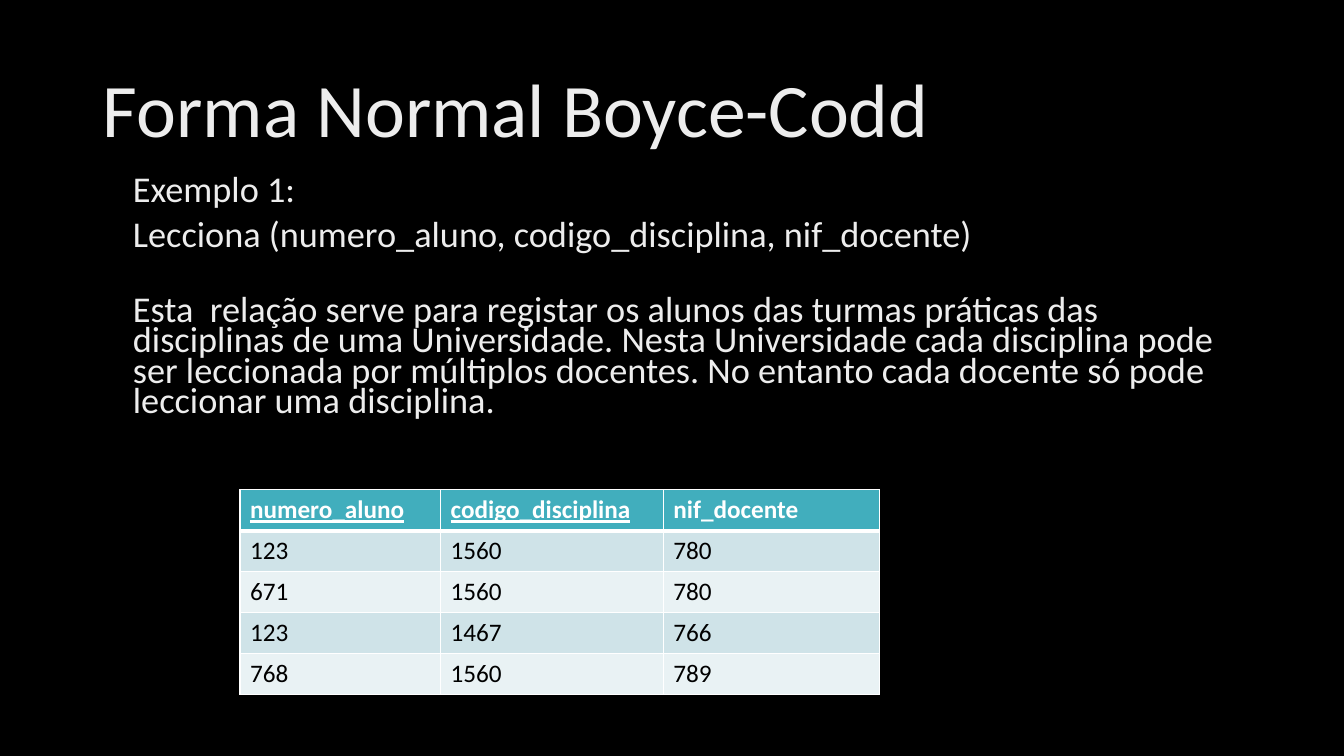
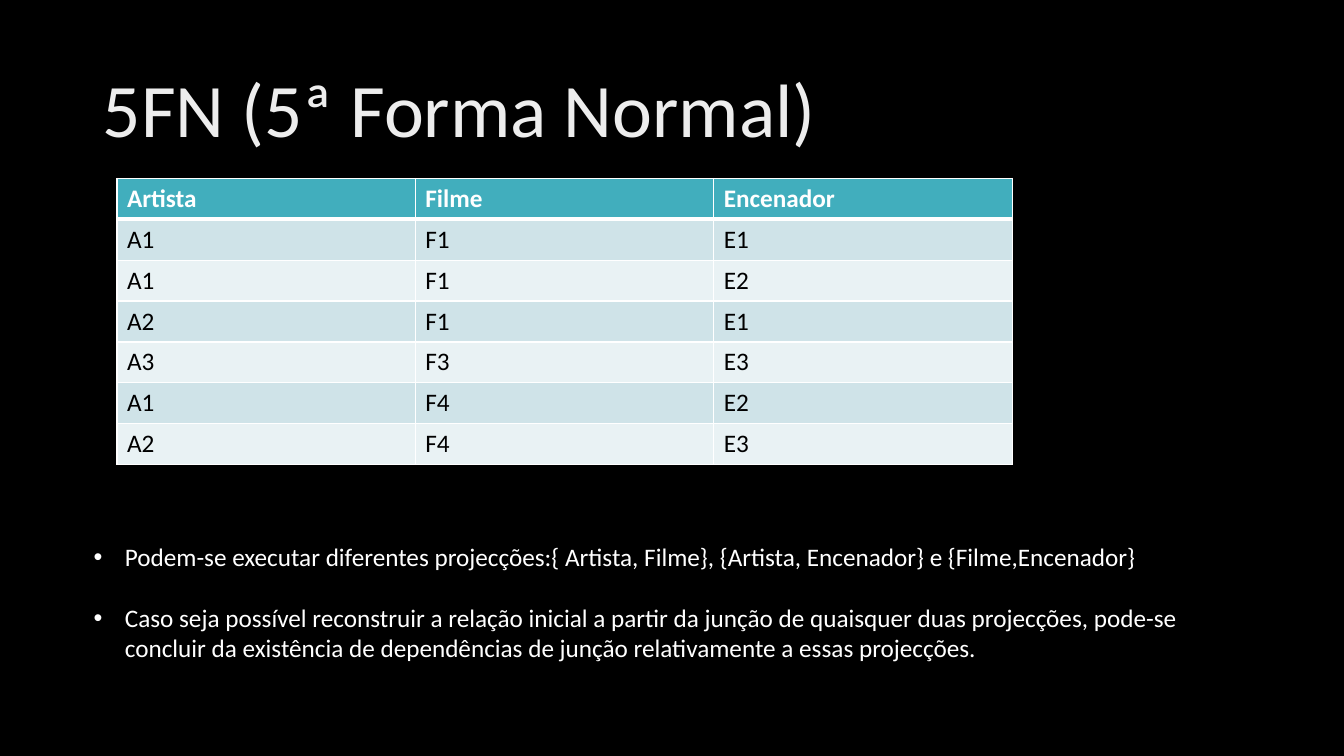
from lxml import etree
from pptx import Presentation
from pptx.dml.color import RGBColor
from pptx.enum.text import MSO_ANCHOR, MSO_AUTO_SIZE, PP_ALIGN
from pptx.oxml.ns import qn
from pptx.util import Inches, Pt

LEFT = PP_ALIGN.LEFT
MIDDLE = MSO_ANCHOR.MIDDLE
NO_FIT = MSO_AUTO_SIZE.NONE
TITLE_ONLY = 5

FONT = "Calibri"
COLORS = {
    "back": "000000",
    "soft": "EDEDED",
    "white": "FFFFFF",
    "ink": "000000",
    "head": "41AEBD",
    "odd": "CFE3E8",
    "even": "E9F2F4",
}

BOYCE = {
    "title": "Forma Normal Boyce-Codd",
    # text and space before it, in points
    "body": [
        ("Exemplo 1:", 10),
        ("Lecciona (numero_aluno, codigo_disciplina, nif_docente)", 10),
        ("Esta  relação serve para registar os alunos das turmas práticas das "
         "disciplinas de uma Universidade. Nesta Universidade cada disciplina "
         "pode ser leccionada por múltiplos docentes. No entanto cada docente "
         "só pode leccionar uma disciplina.", 32),
    ],
    "rows": [
        ("numero_aluno", "codigo_disciplina", "nif_docente"),
        ("123", "1560", "780"),
        ("671", "1560", "780"),
        ("123", "1467", "766"),
        ("768", "1560", "789"),
    ],
    "keys": ("numero_aluno", "codigo_disciplina"),
}

FIFTH = {
    "title": "5FN (5ª Forma Normal)",
    "rows": [
        ("Artista", "Filme", "Encenador"),
        ("A1", "F1", "E1"),
        ("A1", "F1", "E2"),
        ("A2", "F1", "E1"),
        ("A3", "F3", "E3"),
        ("A1", "F4", "E2"),
        ("A2", "F4", "E3"),
    ],
    "notes": [
        ("Podem-se executar diferentes projecções:{ Artista, Filme}, "
         "{Artista, Encenador} e {Filme,Encenador}", 0),
        ("Caso seja possível reconstruir a relação inicial a partir da junção "
         "de quaisquer duas projecções, pode-se concluir da existência de "
         "dependências de junção relativamente a essas projecções.", 22),
    ],
}


def rgb(name):
    return RGBColor.from_string(COLORS[name])


def style(para, size, color, bold=False):
    font = para.font
    font.name, font.size, font.bold = FONT, Pt(size), bold
    font.color.rgb = rgb(color)


def add_page(prs, title):
    page = prs.slides.add_slide(prs.slide_layouts[TITLE_ONLY])
    head = page.shapes.title
    head.left, head.top = Inches(0.92), Inches(0.4)
    head.width, head.height = Inches(11.5), Inches(1.45)
    frame = head.text_frame
    frame.text = title
    frame.auto_size = NO_FIT
    frame.vertical_anchor = MIDDLE
    para = frame.paragraphs[0]
    para.alignment = LEFT
    para.line_spacing = 0.9
    style(para, 54, "soft")
    return page


def add_text(page, box, items, size, color, spacing=1.0):
    """Add a text box with one paragraph per (text, space before) pair."""
    frame = page.shapes.add_textbox(*map(Inches, box)).text_frame
    frame.word_wrap = True
    for i, (text, gap) in enumerate(items):
        para = frame.add_paragraph() if i else frame.paragraphs[0]
        para.text = text
        para.space_before = Pt(gap)
        para.line_spacing = spacing
        style(para, size, color)
    return frame


def add_bullets(frame):
    for para in frame.paragraphs:
        props = para._p.get_or_add_pPr()
        props.set("marL", str(Inches(0.81)))
        props.set("indent", str(Inches(-0.31)))
        etree.SubElement(props, qn("a:buFont"), typeface="Arial")
        etree.SubElement(props, qn("a:buChar"), char="•")


def add_edges(cell, row):
    """Draw white borders, with a thick rule under the header."""
    widths = {"L": 1, "R": 1, "T": 3 if row == 1 else 1, "B": 1 if row else 3}
    props = cell._tc.get_or_add_tcPr()
    for side, width in widths.items():
        line = etree.SubElement(props, qn("a:ln" + side), w=str(Pt(width)))
        fill = etree.SubElement(line, qn("a:solidFill"))
        etree.SubElement(fill, qn("a:srgbClr"), val=COLORS["white"])


def add_grid(page, left, top, height, widths, rows, keys=()):
    box = map(Inches, (left, top, sum(widths), height))
    grid = page.shapes.add_table(len(rows), len(widths), *box).table
    for col, width in zip(grid.columns, widths):
        col.width = Inches(width)
    for r, row in enumerate(rows):
        fill = ("odd" if r % 2 else "even") if r else "head"
        for c, text in enumerate(row):
            cell = grid.cell(r, c)
            cell.text = text
            para = cell.text_frame.paragraphs[0]
            style(para, 18, "ink" if r else "white", bold=r == 0)
            para.font.underline = r == 0 and text in keys
            add_edges(cell, r)
            cell.fill.solid()
            cell.fill.fore_color.rgb = rgb(fill)


def main():
    prs = Presentation()
    prs.slide_width, prs.slide_height = Inches(13.33), Inches(7.5)
    back = prs.slide_master.background.fill
    back.solid()
    back.fore_color.rgb = rgb("back")

    page = add_page(prs, BOYCE["title"])
    add_text(page, (1.22, 1.72, 11.19, 3), BOYCE["body"], 25.9, "soft", 0.7)
    add_grid(page, 2.38, 4.86, 2.03, (1.99, 2.21, 2.14),
             BOYCE["rows"], BOYCE["keys"])

    page = add_page(prs, FIFTH["title"])
    add_grid(page, 1.16, 1.77, 2.84, (2.96,) * 3, FIFTH["rows"])
    notes = add_text(page, (0.33, 5.32, 11.98, 1.32), FIFTH["notes"],
                     18, "white")
    # Bullets follow the paragraph format but must precede its default font
    for para in notes.paragraphs:
        props = para._p.get_or_add_pPr()
        font = props.find(qn("a:defRPr"))
        props.remove(font)
        add_bullets_to = props
        add_bullets_to.append(font)
    add_bullets(notes)
    for para in notes.paragraphs:
        props = para._p.get_or_add_pPr()
        props.append(props.find(qn("a:defRPr")))

    prs.save("out.pptx")


if __name__ == "__main__":
    main()
